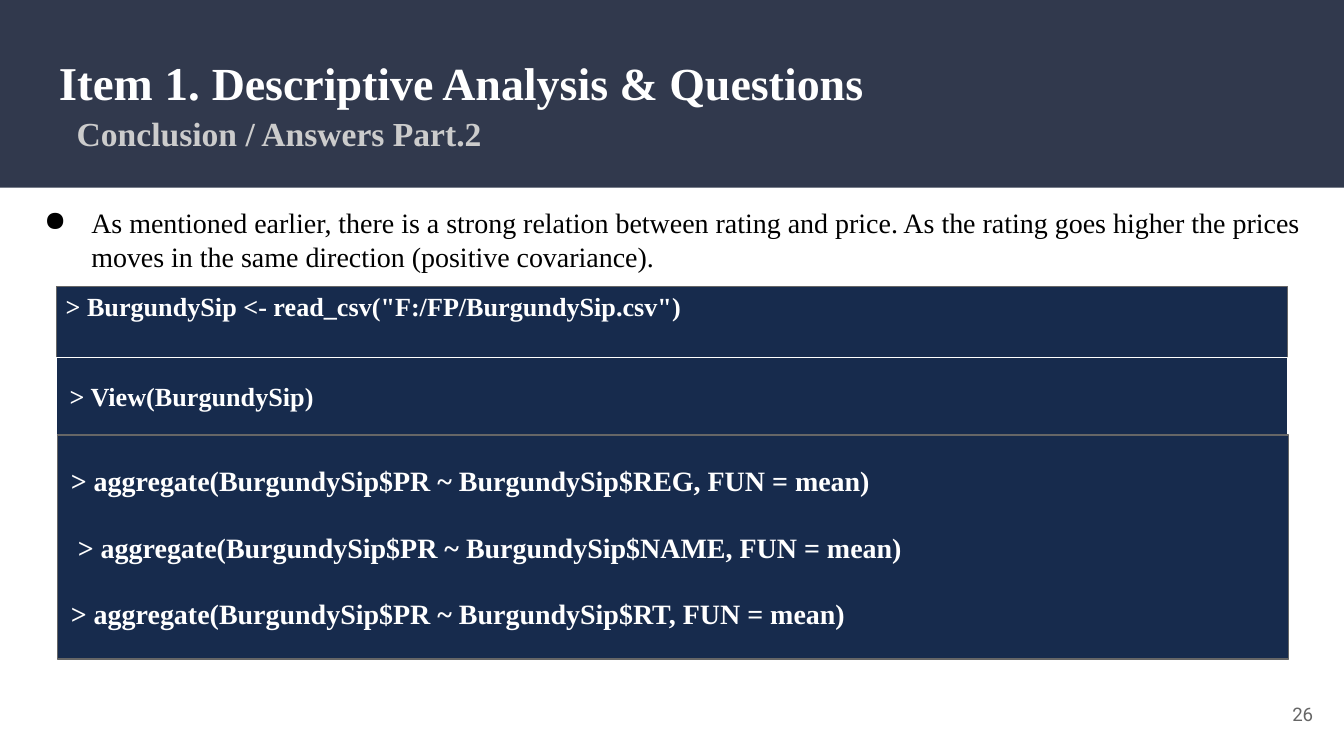
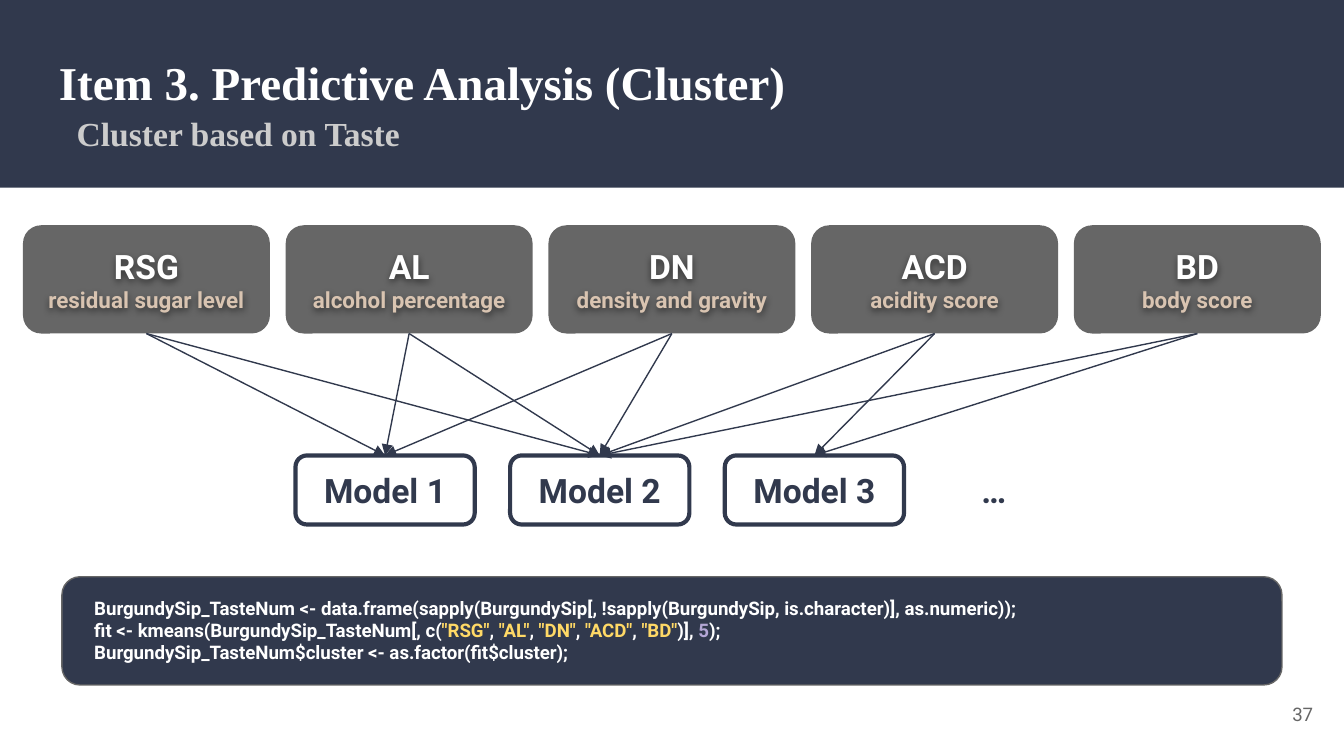
from lxml import etree
from pptx import Presentation
from pptx import util as u
from pptx.dml.color import RGBColor
from pptx.enum import shapes, text
from pptx.oxml import parse_xml
from pptx.oxml.ns import nsdecls, qn

NAVY = RGBColor(0x31, 0x39, 0x4D)
CODE_BLUE = RGBColor(0x17, 0x2B, 0x4D)
GRAY = RGBColor(0x66, 0x66, 0x66)
LIGHT = RGBColor(0xCC, 0xCC, 0xCC)
SAND = RGBColor(0xD9, 0xC4, 0xB1)
YELLOW = RGBColor(0xFF, 0xD9, 0x66)
LILAC = RGBColor(0xB4, 0xA7, 0xD6)
WHITE = RGBColor(0xFF, 0xFF, 0xFF)
BLACK = RGBColor(0, 0, 0)

SERIF, SANS = "Times New Roman", "Roboto"
RECT = shapes.MSO_SHAPE.RECTANGLE
ROUND = shapes.MSO_SHAPE.ROUNDED_RECTANGLE
TOP, MIDDLE = text.MSO_ANCHOR.TOP, text.MSO_ANCHOR.MIDDLE
LEFT, CENTER, RIGHT = text.PP_ALIGN.LEFT, text.PP_ALIGN.CENTER, text.PP_ALIGN.RIGHT


class Deck:
    def __init__(self):
        self.prs = Presentation()
        self.prs.slide_width, self.prs.slide_height = u.Pt(720), u.Pt(405)
        self.s = None

    def slide(self, title, subtitle, number):
        """Start a slide with its band, title and page number."""
        self.s = self.prs.slides.add_slide(self.prs.slide_layouts[6])
        self.box(RECT, (0, 0, 720, 100.5), fill=NAVY)
        tf = self.text((24.5, 21.6, 671, 67), [title, subtitle], 25.2, WHITE, SERIF, bold=True)
        p = tf.paragraphs[1]
        p.space_before = u.Pt(1.5)
        p._p.get_or_add_pPr().set("marL", str(u.Pt(9.5)))
        self.style(p.runs[0], 18, LIGHT)
        self.text((667.4, 367.2, 43.2, 31), [number], 10, GRAY, SANS, align=RIGHT, anchor=MIDDLE)
        return tf

    def style(self, r, size=None, color=None, font=None, bold=None):
        if size:
            r.font.size = u.Pt(size)
        if color is not None:
            r.font.color.rgb = color
        if font:
            r.font.name = font
        if bold is not None:
            r.font.bold = bold

    def box(self, kind, at, fill=None, line=None, weight=0.75):
        sp = self.s.shapes.add_shape(kind, *map(u.Pt, at))
        sp.shadow.inherit = False
        if fill is None:
            sp.fill.background()
        else:
            sp.fill.solid()
            sp.fill.fore_color.rgb = fill
        if line is None:
            sp.line.fill.background()
        else:
            sp.line.color.rgb = line
            sp.line.width = u.Pt(weight)
        return sp

    def label(self, sp, lines, size, color, font, bold=False, align=LEFT, anchor=TOP,
              inset=(7.2, 7.2)):
        tf = sp.text_frame
        tf.word_wrap = True
        tf.vertical_anchor = anchor
        tf.margin_left = tf.margin_right = u.Pt(inset[0])
        tf.margin_top = tf.margin_bottom = u.Pt(inset[1])
        tf.text = "\n".join(lines)
        for p in tf.paragraphs:
            p.alignment = align
            for r in p.runs:
                self.style(r, size, color, font, bold)
        return tf

    def text(self, at, *args, **kw):
        return self.label(self.s.shapes.add_textbox(*map(u.Pt, at)), *args, **kw)

    def split(self, p, parts, **style):
        """Replace the runs of a paragraph by (text, size, colour) parts."""
        p.text = ""
        for words, size, color in parts:
            r = p.add_run()
            r.text = words
            self.style(r, size, color, **style)

    def bullet(self, p, left, hang):
        pPr = p._p.get_or_add_pPr()
        pPr.set("marL", str(u.Pt(left)))
        pPr.set("indent", str(u.Pt(-hang)))
        etree.SubElement(pPr, qn("a:buChar")).set("char", "●")

    def glow(self, tf):
        """Give the text of an unfilled box a soft shadow."""
        tf._txBody.getparent().spPr.append(parse_xml(
            f'<a:effectLst {nsdecls("a")}><a:outerShdw blurRad="{u.Pt(4)}" dist="{u.Pt(1.5)}" '
            'dir="5400000" algn="bl" rotWithShape="0"><a:srgbClr val="000000">'
            '<a:alpha val="50000"/></a:srgbClr></a:outerShdw></a:effectLst>'))

    def arrow(self, start, end):
        """Join the bottom of one shape to the top of another."""
        c = self.s.shapes.add_connector(shapes.MSO_CONNECTOR.STRAIGHT, 0, 0, 0, 0)
        c.begin_connect(start, 2)
        c.end_connect(end, 0)
        c.line.color.rgb = NAVY
        c.line.width = u.Pt(0.75)
        etree.SubElement(c.line._get_or_add_ln(), qn("a:tailEnd")).set("type", "triangle")
        etree.SubElement(c._element.spPr, qn("a:effectLst"))


def answers(d):
    item, topic = "Item 1. ", "Descriptive Analysis & Questions"
    tf = d.slide(item + topic, "Conclusion / Answers Part.2", "26")
    d.split(tf.paragraphs[0], [(item, 25.2, WHITE), (topic, 24.6, WHITE)], font=SERIF, bold=True)

    # Finding
    tf = d.text((5.8, 103, 710, 69), [
        "As mentioned earlier, there is a strong relation between rating and price. As the rating "
        "goes higher the prices moves in the same direction (positive covariance)."],
        15, BLACK, SERIF)
    d.bullet(tf.paragraphs[0], 36, 25.2)

    # Code rows
    rows = [
        ((30.2, 153.4, 659.5, 49), GRAY, 14, TOP, (5, 2),
         ['> BurgundySip <- read_csv("F:/FP/BurgundySip.csv")']),
        ((30.2, 191.7, 659.5, 41), WHITE, 14, MIDDLE, (7.2, 7.2), ["> View(BurgundySip)"]),
        ((30.9, 233, 659.5, 120.2), GRAY, 15, MIDDLE, (7.2, 7.2),
         ["> aggregate(BurgundySip$PR ~ BurgundySip$REG, FUN = mean)",
          " > aggregate(BurgundySip$PR ~ BurgundySip$NAME, FUN = mean)",
          "> aggregate(BurgundySip$PR ~ BurgundySip$RT, FUN = mean)"]),
    ]
    for at, line, size, anchor, inset, code in rows:
        sp = d.box(RECT, at, CODE_BLUE, line)
        tf = d.label(sp, code, size, WHITE, SERIF, bold=True, anchor=anchor, inset=inset)
        for p in tf.paragraphs[1:]:
            p.space_before = u.Pt(15)
            p.line_spacing = 1.15


def clusters(d):
    d.slide("Item 3. Predictive Analysis (Cluster)", "Cluster based on Taste", "37")

    # Taste variables
    tastes = {"RSG": "residual sugar level", "AL": "alcohol percentage",
              "DN": "density and gravity", "ACD": "acidity score", "BD": "body score"}
    cards = []
    for i, (key, meaning) in enumerate(tastes.items()):
        at = (12.3 + 140.75 * i, 120.7, 132.3, 58)
        cards.append(d.box(ROUND, at, GRAY))
        tf = d.text(at, [key, meaning], 18, WHITE, SANS, bold=True, align=CENTER,
                    anchor=MIDDLE, inset=(5, 7.2))
        d.style(tf.paragraphs[1].runs[0], 12, SAND)
        d.glow(tf)

    # Models
    models = []
    for i in range(3):
        sp = d.box(ROUND, (158.3 + 115 * i, 244, 96, 37), line=NAVY, weight=2.25)
        d.label(sp, [f"Model {i + 1}"], 18, NAVY, SANS, bold=True, align=CENTER, anchor=MIDDLE)
        models.append(sp)
    d.text((503.3, 244, 58.3, 37), ["…"], 18, NAVY, SANS, bold=True, align=CENTER, anchor=MIDDLE)

    # Variables used by each model
    for model, used in zip(models, [(0, 1, 2), (0, 1, 2, 3, 4), (3, 4)]):
        for i in used:
            d.arrow(cards[i], model)

    # Clustering code
    d.box(ROUND, (33.2, 309, 653.6, 58), NAVY, GRAY)
    tf = d.text((43.4, 312.3, 619, 51), [
        "BurgundySip_TasteNum <- data.frame(sapply(BurgundySip[, "
        "!sapply(BurgundySip, is.character)], as.numeric));",
        "",
        "BurgundySip_TasteNum$cluster <- as.factor(fit$cluster);"], 10, WHITE, SANS, bold=True)
    parts = []
    for key in tastes:
        lead = ", " if parts else "fit <- kmeans(BurgundySip_TasteNum[, c("
        parts += [(lead, 10, WHITE), (f'"{key}"', 10, YELLOW)]
    parts += [(")], ", 10, WHITE), ("5", 10, LILAC), (");", 10, WHITE)]
    d.split(tf.paragraphs[1], parts, font=SANS, bold=True)


def main():
    d = Deck()
    answers(d)
    clusters(d)
    d.prs.save("out.pptx")


if __name__ == "__main__":
    main()
